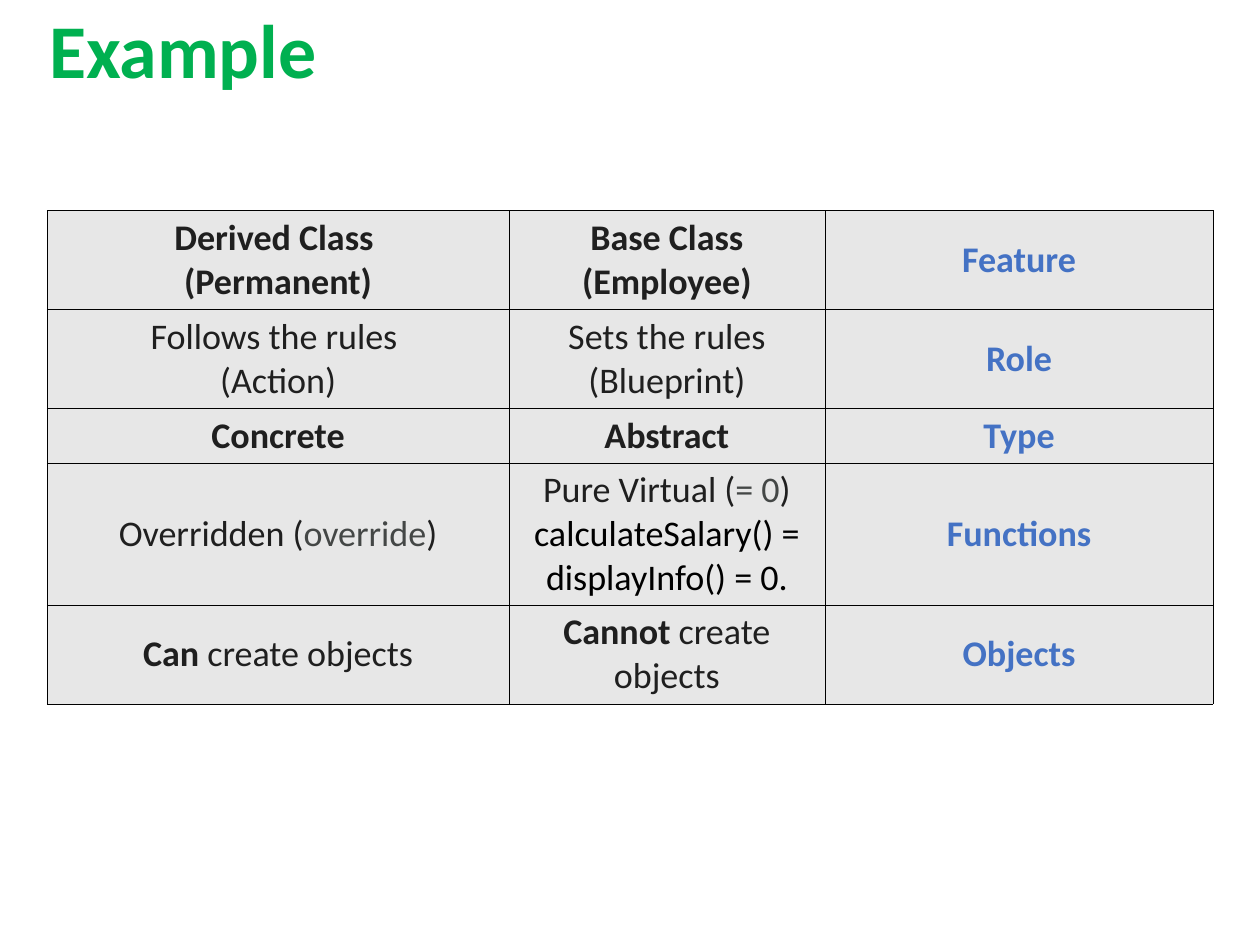
from lxml.etree import SubElement
from pptx import Presentation
from pptx.dml.color import RGBColor
from pptx.enum.text import MSO_ANCHOR, PP_ALIGN
from pptx.oxml.ns import qn
from pptx.util import Inches, Pt

CM_PER_INCH = 2.54
SLIDE_WIDTH_CM, SLIDE_HEIGHT_CM = 34.53, 25.9
GREEN, BLUE, DARK, CODE, BLACK = "00B050", "4472C4", "1F1F1F", "444746", "000000"
CELL_FILL = "E7E7E7"
COLUMN_WIDTHS = [4.98, 3.41, 4.19]
ROW_HEIGHTS = [1.07, 1.07, 0.59, 1.53, 1.07]


def rgb(value):
    return RGBColor.from_string(value)


def run(text, color=DARK, bold=False, size=28):
    return text, color, bold, size


def heading(text):
    return [[run(text, BLUE, bold=True)]]


def strong(*lines):
    return [[run(line, bold=True)] for line in lines]


def plain(*lines):
    return [[run(line)] for line in lines]


COMPARISON = [
    [strong("Derived Class ", "(Permanent)"), strong("Base Class (Employee)"),
     heading("Feature")],
    [plain("Follows the rules ", "(Action)"), plain("Sets the rules (Blueprint)"),
     heading("Role")],
    [strong("Concrete"), strong("Abstract"), heading("Type")],
    [[[run("Overridden ("), run("override", CODE), run(")")]],
     [[run("Pure Virtual ("), run("= 0", CODE), run(")")],
      [run("calculateSalary() = displayInfo() = 0.", BLACK)]],
     heading("Functions")],
    [[[run("Can", bold=True), run(" create objects")]],
     [[run("Cannot", bold=True), run(" create objects")]],
     heading("Objects")],
]


def write(frame, paragraphs, align=PP_ALIGN.CENTER, line_spacing=1.0):
    """Fill a text frame with paragraphs, each a list of formatted runs."""
    frame.word_wrap = True
    for index, runs in enumerate(paragraphs):
        paragraph = frame.add_paragraph() if index else frame.paragraphs[0]
        paragraph.alignment = align
        paragraph.line_spacing = line_spacing
        for text, color, bold, size in runs:
            part = paragraph.add_run()
            part.text = text
            part.font.name = "Calibri"
            part.font.size = Pt(size)
            part.font.bold = bold
            part.font.color.rgb = rgb(color)


def outline(cell, color=BLACK, width=0.45):
    properties = cell._tc.get_or_add_tcPr()
    for side in ("a:lnL", "a:lnR", "a:lnT", "a:lnB"):
        border = SubElement(properties, qn(side), w=str(Pt(width)))
        fill = SubElement(border, qn("a:solidFill"))
        SubElement(fill, qn("a:srgbClr"), val=color)


def add_title(slide, left, top, width, height):
    title = slide.shapes.add_textbox(Inches(left), Inches(top), Inches(width), Inches(height))
    frame = title.text_frame
    frame.vertical_anchor = MSO_ANCHOR.MIDDLE
    frame.margin_left = Inches(0.3)
    frame.margin_right = Inches(0.08)
    frame.margin_top = frame.margin_bottom = Inches(0.04)
    write(frame, [[run("Example", GREEN, bold=True, size=59)]],
          align=PP_ALIGN.LEFT, line_spacing=0.9)


def add_comparison(slide, left, top):
    table = slide.shapes.add_table(
        len(ROW_HEIGHTS), len(COLUMN_WIDTHS), Inches(left), Inches(top),
        Inches(sum(COLUMN_WIDTHS)), Inches(sum(ROW_HEIGHTS))).table
    table.first_row = table.horz_banding = False
    for column, width in zip(table.columns, COLUMN_WIDTHS):
        column.width = Inches(width)
    for row, height, contents in zip(table.rows, ROW_HEIGHTS, COMPARISON):
        row.height = Inches(height)
        for cell, paragraphs in zip(row.cells, contents):
            outline(cell)
            cell.fill.solid()
            cell.fill.fore_color.rgb = rgb(CELL_FILL)
            cell.vertical_anchor = MSO_ANCHOR.MIDDLE
            write(cell.text_frame, paragraphs)


def main():
    deck = Presentation()
    deck.slide_width = Inches(SLIDE_WIDTH_CM / CM_PER_INCH)
    deck.slide_height = Inches(SLIDE_HEIGHT_CM / CM_PER_INCH)
    slide = deck.slides.add_slide(deck.slide_layouts[6])
    add_title(slide, 0.23, -0.4, 11.73, 1.97)
    add_comparison(slide, 0.51, 2.27)
    deck.save("out.pptx")


if __name__ == "__main__":
    main()
